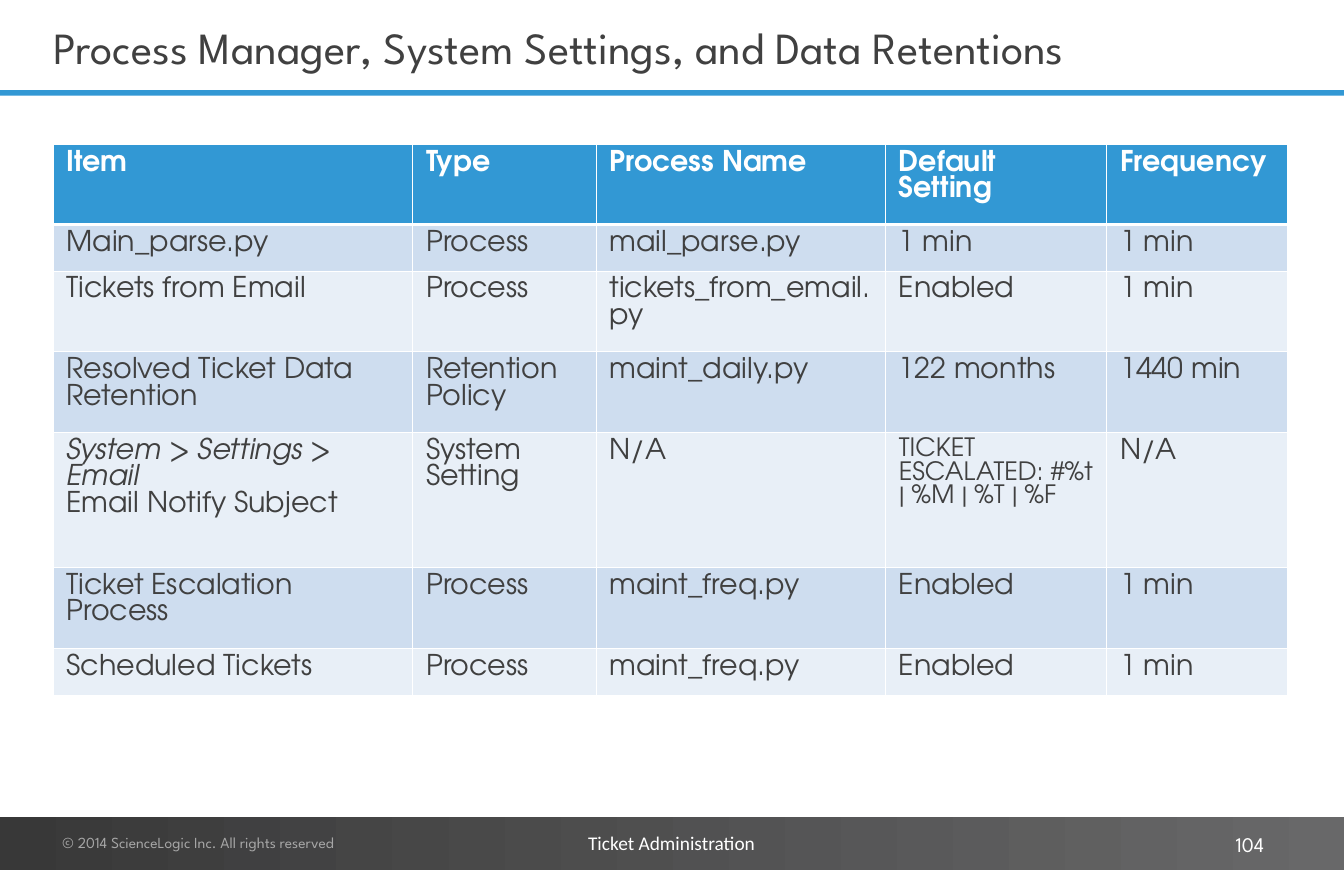
from dataclasses import dataclass

from lxml import etree
from pptx import Presentation
from pptx.dml.color import RGBColor
from pptx.enum import shapes, text
from pptx.oxml import ns
from pptx.util import Inches, Pt

COLORS = {
    "blue": "3298D4", "band": "CEDDEF", "light": "E8EFF7", "white": "FFFFFF",
    "ink": "404040", "muted": "A6A6A6", "dark": "383838", "gray": "686869",
}
TABLE_FONT = "TeX Gyre Adventor"
HEADING_FONT = "League Spartan"
COLUMN_WIDTHS = [4.55, 2.32, 3.66, 2.8, 2.29]


@dataclass
class Label:
    words: str
    box: tuple[float, float, float, float]
    size: float
    color: str
    font: str = HEADING_FONT
    anchor: text.MSO_ANCHOR = text.MSO_ANCHOR.TOP
    align: text.PP_ALIGN = text.PP_ALIGN.LEFT
    wrap: bool = True
    inset: tuple[float, float] = (0.16, 0.08)


@dataclass
class Row:
    height: float
    cells: list[str]


LABELS = [
    Label("© 2014 ScienceLogic Inc. All rights reserved", (0.63, 10.46, 5, 0.4), 14, "muted"),
    Label("Process Manager, System Settings, and Data Retentions",
          (0.52, 0.01, 14.85, 1.17), 40.5, "ink", anchor=text.MSO_ANCHOR.MIDDLE),
    Label("104", (12.18, 10.46, 3.97, 0.43), 19, "white",
          anchor=text.MSO_ANCHOR.MIDDLE, align=text.PP_ALIGN.RIGHT),
    Label("Ticket Administration", (7.34, 10.46, 2.33, 0.4), 17.6, "white",
          font="Calibri", wrap=False, inset=(0.1, 0.05)),
]
MENU_PATH = "System > Settings > Email"
ESCALATION_SUBJECT = "TICKET ESCALATED: #%t | %M | %T | %F"
ROWS = [
    Row(1.01, ["Item", "Type", "Process Name", "Default Setting", "Frequency"]),
    Row(0.59, ["Main_parse.py", "Process", "mail_parse.py", "1 min", "1 min"]),
    Row(1.02, ["Tickets from Email", "Process", "tickets_from_email.py", "Enabled", "1 min"]),
    Row(1.02, ["Resolved Ticket Data Retention", "Retention Policy", "maint_daily.py",
               "122 months", "1440 min"]),
    Row(1.71, [f"{MENU_PATH}\nEmail Notify Subject", "System Setting", "N/A",
               ESCALATION_SUBJECT, "N/A"]),
    Row(1.02, ["Ticket Escalation Process", "Process", "maint_freq.py", "Enabled", "1 min"]),
    Row(0.59, ["Scheduled Tickets", "Process", "maint_freq.py", "Enabled", "1 min"]),
]


def rgb(name: str) -> RGBColor:
    return RGBColor.from_string(COLORS[name])


def apply(target, values: dict) -> None:
    for attribute, value in values.items():
        setattr(target, attribute, value)


def margins(across: float, down: float) -> dict:
    return {"margin_left": Inches(across), "margin_right": Inches(across),
            "margin_top": Inches(down), "margin_bottom": Inches(down)}


def style_font(font, color: str, **values) -> None:
    apply(font, values)
    font.color.rgb = rgb(color)


def add_bar(slide, top: float, height: float):
    """Add a plain bar across the whole slide."""
    bar = slide.shapes.add_shape(shapes.MSO_SHAPE.RECTANGLE, 0, Inches(top),
                                 Inches(17.02), Inches(height))
    bar.shadow.inherit = False
    bar.line.fill.background()
    return bar


def add_label(slide, label: Label) -> None:
    frame = slide.shapes.add_textbox(*map(Inches, label.box)).text_frame
    apply(frame, {"word_wrap": label.wrap, "vertical_anchor": label.anchor,
                  **margins(*label.inset)})
    paragraph = frame.paragraphs[0]
    paragraph.alignment = label.align
    run = paragraph.add_run()
    run.text = label.words
    style_font(run.font, label.color, name=label.font, size=Pt(label.size))


def add_borders(cell, bottom: float) -> None:
    properties = cell._tc.get_or_add_tcPr()
    for side, points in {"L": 1, "R": 1, "T": 1, "B": bottom}.items():
        edge = etree.SubElement(properties, ns.qn(f"a:ln{side}"), w=str(Pt(points)))
        paint = etree.SubElement(edge, ns.qn("a:solidFill"))
        etree.SubElement(paint, ns.qn("a:srgbClr"), val=COLORS["white"])


def fill_cell(cell, words: str, row_number: int) -> None:
    header = row_number == 0
    apply(cell, margins(0.17, 0.07))
    add_borders(cell, bottom=3 if header else 1)
    cell.fill.solid()
    cell.fill.fore_color.rgb = rgb("blue" if header else "band" if row_number % 2 else "light")
    cell.text = words
    for paragraph in cell.text_frame.paragraphs:
        for run in paragraph.runs:
            style_font(run.font, "white" if header else "ink", name=TABLE_FONT, bold=header,
                       size=Pt(23 if words == ESCALATION_SUBJECT else 26),
                       italic=run.text == MENU_PATH)


def add_settings_table(slide) -> None:
    table = slide.shapes.add_table(
        len(ROWS), len(COLUMN_WIDTHS), Inches(0.67), Inches(1.83),
        Inches(sum(COLUMN_WIDTHS)), Inches(sum(row.height for row in ROWS))).table
    for column, width in zip(table.columns, COLUMN_WIDTHS):
        column.width = Inches(width)
    for number, row in enumerate(ROWS):
        table.rows[number].height = Inches(row.height)
        for cell, words in zip(table.rows[number].cells, row.cells):
            fill_cell(cell, words, number)


def main() -> None:
    deck = Presentation()
    apply(deck, {"slide_width": Inches(17), "slide_height": Inches(11)})
    slide = deck.slides.add_slide(deck.slide_layouts[6])

    title_rule = add_bar(slide, 1.14, 0.07)
    title_rule.fill.solid()
    title_rule.fill.fore_color.rgb = rgb("blue")

    footer = add_bar(slide, 10.33, 0.69)
    footer.fill.gradient()
    footer.fill.gradient_angle = 0
    for stop, name, position in zip(footer.fill.gradient_stops, ("dark", "gray"), (0, 1)):
        stop.color.rgb = rgb(name)
        stop.position = position

    add_settings_table(slide)
    for label in LABELS:
        add_label(slide, label)
    deck.save("out.pptx")


if __name__ == "__main__":
    main()
